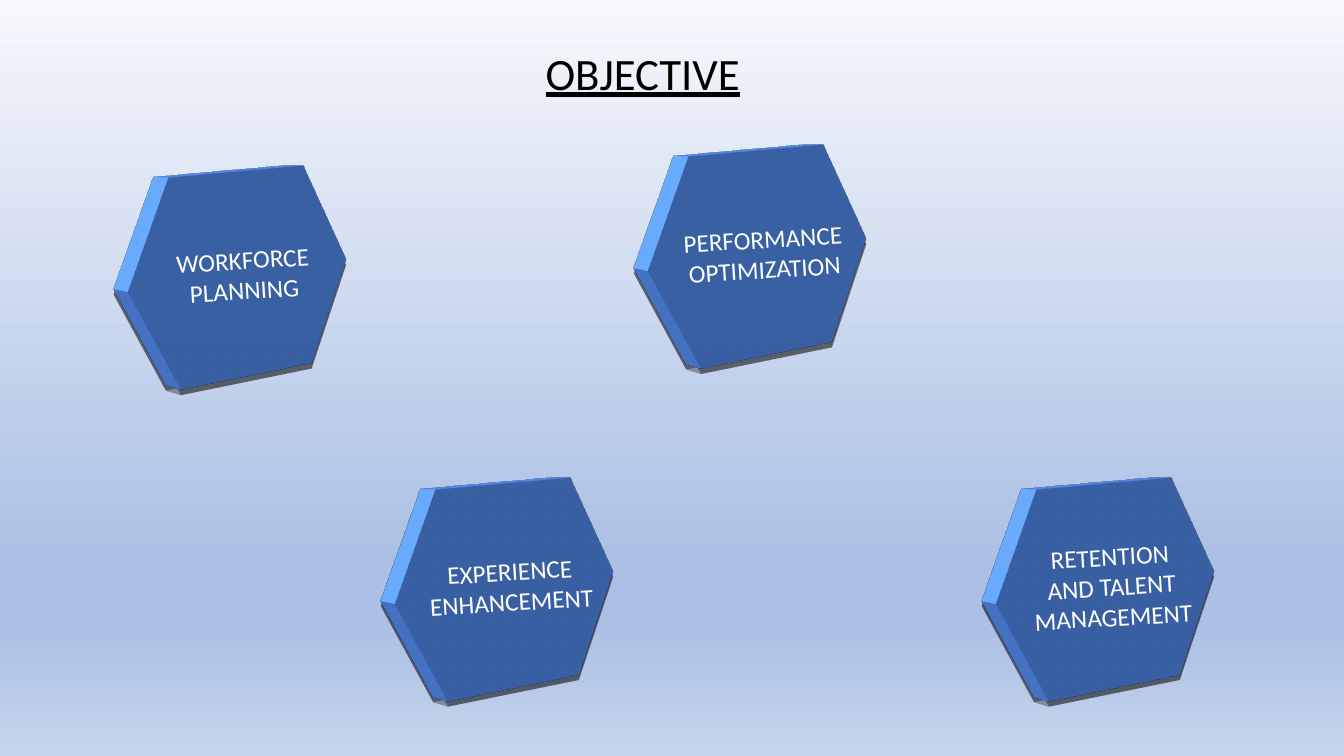
from dataclasses import dataclass

from lxml.etree import SubElement
from pptx import Presentation
from pptx.dml.color import RGBColor
from pptx.enum.shapes import MSO_SHAPE
from pptx.enum.text import MSO_ANCHOR, MSO_AUTO_SIZE, PP_ALIGN
from pptx.oxml import parse_xml
from pptx.oxml.ns import nsdecls, qn
from pptx.util import Inches, Pt


@dataclass(frozen=True)
class Theme:
    """Colours, type sizes and font of the slide."""
    font: str = "Calibri"
    head: int = 32
    body: int = 18
    ink: str = "000000"
    light: str = "FFFFFF"
    fill: str = "4472C4"
    sky: tuple = ((0, "F6F8FC"), (74, "ABC0E4"), (83, "ABC0E4"), (100, "C7D5ED"))


@dataclass(frozen=True)
class Goal:
    """One objective and the corner of its hexagon."""
    left: float
    top: float
    lines: tuple


THEME = Theme()
WIDE, HIGH = 2.63, 2.05
LOW = 4.79
GOALS = (
    Goal(1.1, 1.7, ("WORKFORCE PLANNING",)),
    Goal(6.26, 1.49, ("PERFORMANCE OPTIMIZATION",)),
    Goal(3.75, LOW, ("EXPERIENCE ENHANCEMENT",)),
    Goal(9.71, LOW, ("RETENTION AND TALENT", "MANAGEMENT")),
)
SHADOW = f"""<a:outerShdw {nsdecls('a')} blurRad="225425" dist="50800"
 dir="5220000" algn="ctr"><a:srgbClr val="{THEME.ink}"><a:alpha val="33000"/>
</a:srgbClr></a:outerShdw>"""
SCENE = f"""<a:scene3d {nsdecls('a')}>
<a:camera prst="perspectiveFront" fov="3300000">
<a:rot lat="486000" lon="19530000" rev="174000"/></a:camera>
<a:lightRig rig="harsh" dir="t"><a:rot lat="0" lon="0" rev="3000000"/></a:lightRig>
</a:scene3d>"""
SOLID = f"""<a:sp3d {nsdecls('a')} extrusionH="254000" contourW="19050">
<a:bevelT w="82550" h="44450" prst="angle"/>
<a:bevelB w="82550" h="44450" prst="angle"/>
<a:contourClr><a:srgbClr val="{THEME.light}"/></a:contourClr></a:sp3d>"""


def write(shape, lines: tuple, *, size: int, color: str,
          anchor=MSO_ANCHOR.MIDDLE, under: bool = False) -> None:
    """Put centred lines of text into a shape."""
    frame = shape.text_frame
    frame.word_wrap = True
    frame.vertical_anchor = anchor
    for index, line in enumerate(lines):
        para = frame.add_paragraph() if index else frame.paragraphs[0]
        para.alignment = PP_ALIGN.CENTER
        run = para.add_run()
        run.text = line
        font = run.font
        font.name, font.size = THEME.font, Pt(size)
        font.color.rgb = RGBColor.from_string(color)
        if under:
            font.underline = True


def paint(slide) -> None:
    """Fill the background with the sky gradient."""
    fill = slide.background.fill
    fill.gradient()
    fill.gradient_angle = 270
    stops = slide.element.find(".//" + qn("a:gsLst"))
    for stop in list(stops):
        stops.remove(stop)
    for place, color in THEME.sky:
        stop = SubElement(stops, qn("a:gs"), pos=str(place * 1000))
        SubElement(stop, qn("a:srgbClr"), val=color)


def block(slide, goal: Goal) -> None:
    """Draw one objective as a solid tilted hexagon."""
    shape = slide.shapes.add_shape(
        MSO_SHAPE.HEXAGON, Inches(goal.left), Inches(goal.top),
        Inches(WIDE), Inches(HIGH))
    shape.fill.solid()
    shape.fill.fore_color.rgb = RGBColor.from_string(THEME.fill)
    shape.line.fill.background()
    shape.shadow.inherit = False
    props = shape.element.spPr
    props.find(qn("a:effectLst")).append(parse_xml(SHADOW))
    for part in (SCENE, SOLID):
        props.append(parse_xml(part))
    write(shape, goal.lines, size=THEME.body, color=THEME.light)


def main() -> None:
    """Build and save the slide."""
    deck = Presentation()
    deck.slide_width, deck.slide_height = Inches(13.33), Inches(7.5)
    slide = deck.slides.add_slide(deck.slide_layouts[6])
    paint(slide)
    title = slide.shapes.add_textbox(
        Inches(3.04), Inches(0.4), Inches(6.67), Inches(0.64))
    write(title, ("OBJECTIVE",), size=THEME.head, color=THEME.ink,
          anchor=MSO_ANCHOR.TOP, under=True)
    title.text_frame.auto_size = MSO_AUTO_SIZE.SHAPE_TO_FIT_TEXT
    for goal in GOALS:
        block(slide, goal)
    deck.save("out.pptx")


main()
